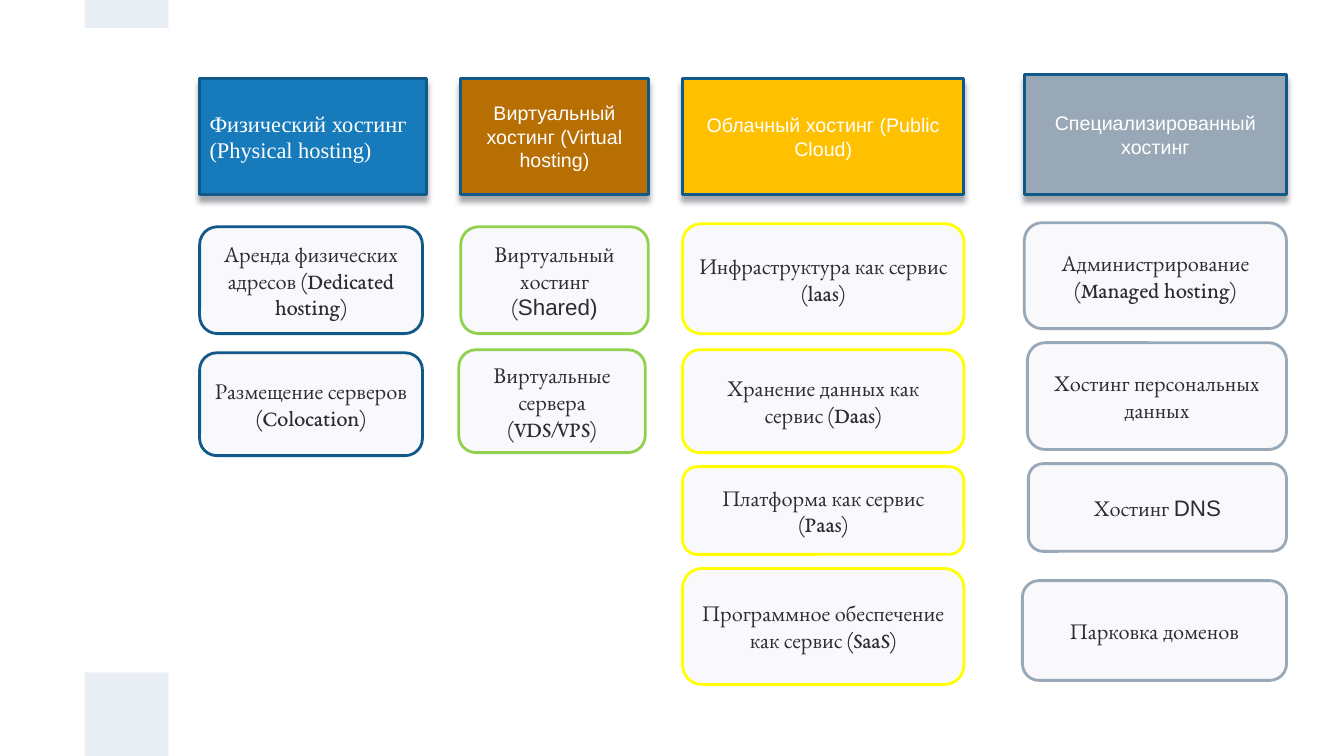
import lxml.etree
import pptx
import pptx.dml.color
import pptx.enum.shapes
import pptx.enum.text
import pptx.oxml.ns
import pptx.util

Inches = pptx.util.Inches
Pt = pptx.util.Pt
RGBColor = pptx.dml.color.RGBColor
MSO_SHAPE = pptx.enum.shapes.MSO_SHAPE
PP_ALIGN = pptx.enum.text.PP_ALIGN
qn = pptx.oxml.ns.qn

WHITE = RGBColor(0xFF, 0xFF, 0xFF)
PALE_BLUE = RGBColor(0xE9, 0xED, 0xF4)
CARD_FILL = RGBColor(0xF9, 0xF9, 0xFB)
CARD_TEXT = RGBColor(0x2C, 0x2D, 0x30)
NAVY = RGBColor(0x10, 0x59, 0x88)
BLUE = RGBColor(0x17, 0x7B, 0xBB)
BROWN = RGBColor(0xB7, 0x6F, 0x04)
AMBER = RGBColor(0xFF, 0xC0, 0x00)
GREY = RGBColor(0x99, 0xA8, 0xB7)
GREEN = RGBColor(0x92, 0xD0, 0x50)
YELLOW = RGBColor(0xFF, 0xFF, 0x00)
SHADOW = RGBColor(0x70, 0x74, 0x7C)

SERIF = "EB Garamond"
SANS = "Arial"

HEADERS = [
    ((1.98, 0.78, 2.25, 1.15), BLUE, "Физический хостинг (Physical hosting)",
     "Times New Roman", 16, PP_ALIGN.LEFT),
    ((4.57, 0.78, 1.86, 1.15), BROWN, "Виртуальный хостинг (Virtual hosting)",
     SANS, 14, PP_ALIGN.CENTER),
    ((6.77, 0.78, 2.79, 1.15), AMBER, "Облачный хостинг (Public Cloud)",
     SANS, 14, PP_ALIGN.CENTER),
    ((10.16, 0.74, 2.6, 1.19), GREY, "Специализированный хостинг",
     SANS, 14, PP_ALIGN.CENTER),
]

CARDS = [
    (NAVY, [
        ((1.98, 2.25, 2.21, 1.06),
         [[("Аренда физических адресов (Dedicated hosting)", SERIF)]]),
        ((1.98, 3.5, 2.21, 1.02),
         [[("Размещение серверов (Colocation)", SERIF)]]),
    ]),
    (GREEN, [
        ((4.57, 2.25, 1.86, 1.06),
         [[("Виртуальный хостинг (", SERIF), ("Shared)", SANS)]]),
        ((4.55, 3.47, 1.85, 1.02),
         [[("Виртуальные сервера (VDS/VPS)", SERIF)]]),
    ]),
    (YELLOW, [
        ((6.77, 2.22, 2.79, 1.09),
         [[("Инфраструктура как сервис (laas)", SERIF)]]),
        ((6.77, 3.47, 2.79, 1.02),
         [[("Хранение данных как сервис (Daas)", SERIF)]]),
        ((6.77, 4.63, 2.79, 0.87),
         [[("Платформа как сервис (Paas)", SERIF)]]),
        ((6.77, 5.64, 2.79, 1.15),
         [[("Программное обеспечение как сервис (SaaS)", SERIF)]]),
    ]),
    (GREY, [
        ((10.16, 2.21, 2.6, 1.05),
         [[("Администрирование", SERIF)], [("(Managed hosting)", SERIF)]]),
        ((10.19, 3.4, 2.57, 1.06),
         [[("Хостинг персональных данных", SERIF)]]),
        ((10.2, 4.6, 2.56, 0.87),
         [[("Хостинг ", SERIF), ("DNS", SANS)]]),
        ((10.14, 5.76, 2.62, 0.99),
         [[("Парковка доменов", SERIF)]]),
    ]),
]


def add_box(slide, kind, place, fill, outline=None):
    """Add a flat filled shape, outlined if a colour is given."""
    box = slide.shapes.add_shape(kind, *map(Inches, place))
    box.shadow.inherit = False
    box.fill.solid()
    box.fill.fore_color.rgb = fill
    if outline is None:
        box.line.fill.background()
    else:
        box.line.color.rgb = outline
        box.line.width = Pt(2)
    return box


def write_text(box, paragraphs, size, color, align):
    """Fill a box with paragraphs made of (text, font) pieces."""
    frame = box.text_frame
    frame.word_wrap = True
    frame.vertical_anchor = pptx.enum.text.MSO_ANCHOR.MIDDLE
    for index, pieces in enumerate(paragraphs):
        paragraph = frame.add_paragraph() if index else frame.paragraphs[0]
        paragraph.alignment = align
        for text, font in pieces:
            run = paragraph.add_run()
            run.text = text
            run.font.name = font
            run.font.size = Pt(size)
            run.font.color.rgb = color


def add_drop_shadow(box):
    """Give a box a soft shadow straight below it."""
    effects = box._element.spPr.find(qn("a:effectLst"))
    shadow = lxml.etree.SubElement(
        effects, qn("a:outerShdw"), blurRad=str(Pt(4)), dist=str(Pt(4)),
        dir="5400000", algn="ctr", rotWithShape="0")
    color = lxml.etree.SubElement(shadow, qn("a:srgbClr"), val=str(SHADOW))
    lxml.etree.SubElement(color, qn("a:alpha"), val="63000")


def add_header(slide, place, fill, text, font, size, align):
    """Add the coloured heading of a column."""
    header = add_box(slide, MSO_SHAPE.RECTANGLE, place, fill, NAVY)
    add_drop_shadow(header)
    write_text(header, [[(text, font)]], size, WHITE, align)


def add_card(slide, place, outline, paragraphs):
    """Add a rounded card that names one hosting service."""
    card = add_box(slide, MSO_SHAPE.ROUNDED_RECTANGLE, place, CARD_FILL, outline)
    write_text(card, paragraphs, 16, CARD_TEXT, PP_ALIGN.CENTER)


def main():
    """Build the slide of hosting types and save it."""
    deck = pptx.Presentation()
    deck.slide_width = Inches(13.33)
    deck.slide_height = Inches(7.5)
    slide = deck.slides.add_slide(deck.slide_layouts[6])
    for top, height in ((0, 0.28), (6.67, 0.83)):
        add_box(slide, MSO_SHAPE.RECTANGLE, (0.84, top, 0.83, height), PALE_BLUE)
    for header in HEADERS:
        add_header(slide, *header)
    for outline, services in CARDS:
        for place, paragraphs in services:
            add_card(slide, place, outline, paragraphs)
    deck.save("out.pptx")


if __name__ == "__main__":
    main()
